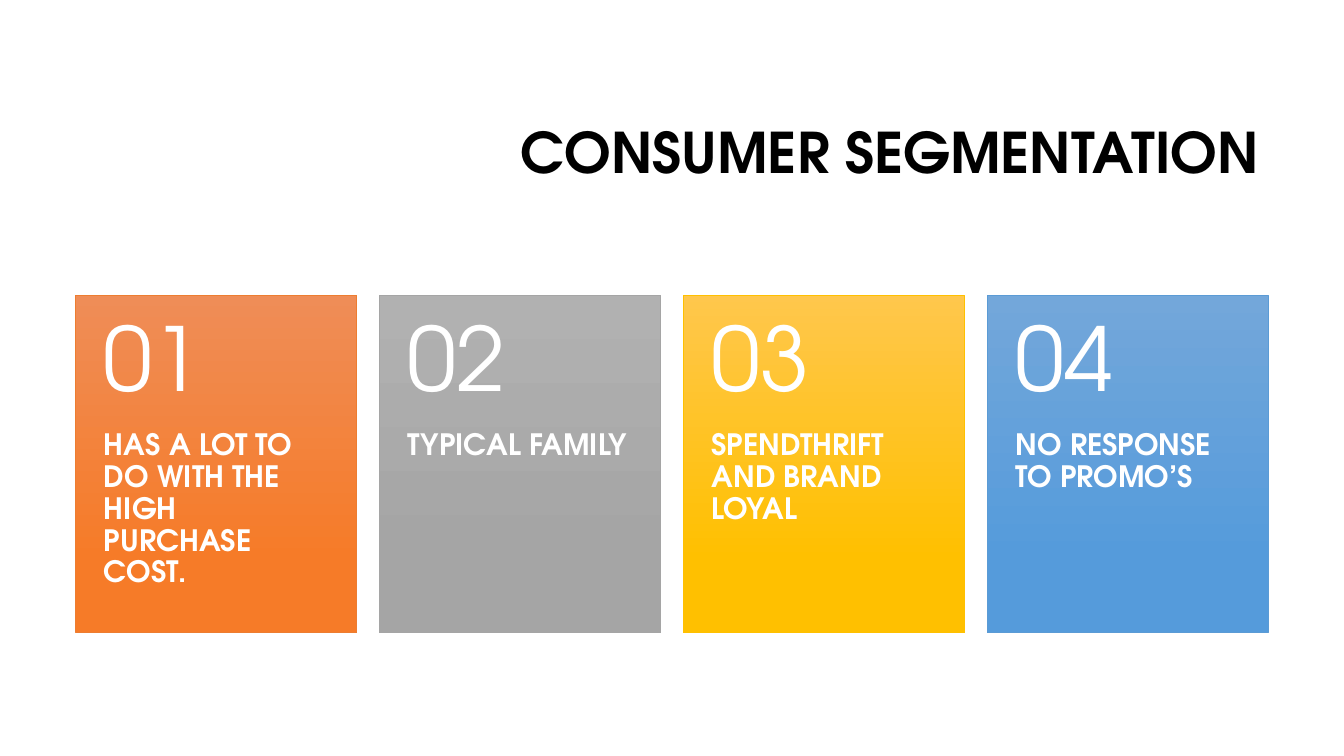
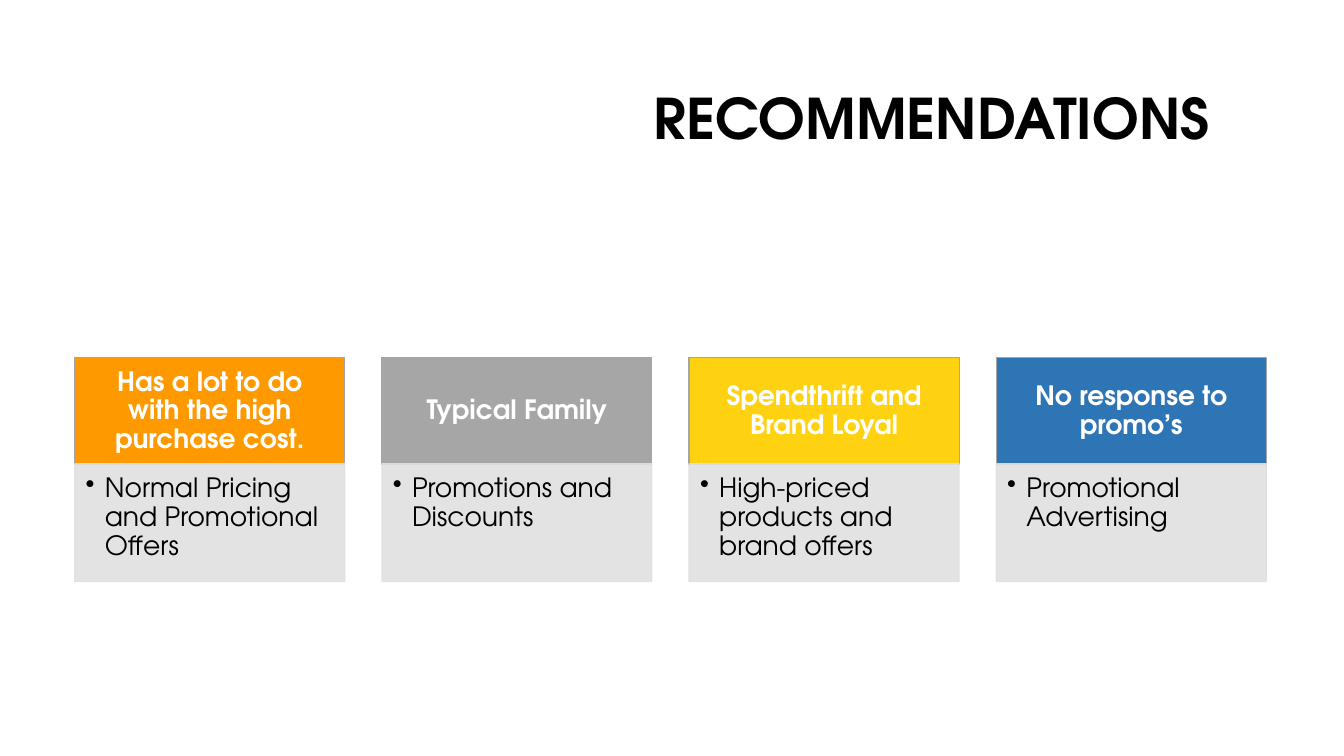
from lxml import etree
from pptx import Presentation
from pptx import util as u
from pptx.dml.color import RGBColor
from pptx.enum import shapes, text
from pptx.oxml import ns

FONT = "TeX Gyre Adventor"
BLACK = RGBColor(0x00, 0x00, 0x00)
WHITE = RGBColor(0xFF, 0xFF, 0xFF)
GRAY = RGBColor(0xA5, 0xA5, 0xA5)
PANEL = RGBColor(0xE1, 0xE1, 0xE1)
LEFT, CENTER, RIGHT = text.PP_ALIGN.LEFT, text.PP_ALIGN.CENTER, text.PP_ALIGN.RIGHT
TOP, MIDDLE = text.MSO_ANCHOR.TOP, text.MSO_ANCHOR.MIDDLE


def write(shape, words, size, color, bold=False, align=LEFT, anchor=TOP,
          insets=(0.1, 0.05, 0.1, 0.05)):
    """Set one styled paragraph in a shape and return the paragraph."""
    frame = shape.text_frame
    frame.word_wrap = True
    frame.auto_size = text.MSO_AUTO_SIZE.NONE
    frame.vertical_anchor = anchor
    (frame.margin_left, frame.margin_top,
     frame.margin_right, frame.margin_bottom) = [u.Inches(inset) for inset in insets]
    paragraph = frame.paragraphs[0]
    paragraph.alignment = align
    paragraph.line_spacing = 0.9
    run = paragraph.add_run()
    run.text = words
    run.font.name = FONT
    run.font.size = u.Pt(size)
    run.font.bold = bold
    run.font.color.rgb = color
    return paragraph


def add_box(slide, left, top, width, height, line_color):
    """Add a rectangle with a thin outline and no shadow."""
    box = slide.shapes.add_shape(
        shapes.MSO_SHAPE.RECTANGLE,
        u.Inches(left), u.Inches(top), u.Inches(width), u.Inches(height))
    box.shadow.inherit = False
    box.line.color.rgb = line_color
    box.line.width = u.Pt(0.75)
    return box


presentation = Presentation()
presentation.slide_width = u.Inches(13.33)
presentation.slide_height = u.Inches(7.5)

# Slides and their right-aligned titles
slides = []
for words, box in [
    ("CONSUMER SEGMENTATION", (3.17, 0.84, 9.42, 1.41)),
    ("RECOMMENDATIONS", (4.89, 0.46, 7.21, 1.49)),
]:
    slide = presentation.slides.add_slide(presentation.slide_layouts[5])
    title = slide.shapes.title
    title.left, title.top, title.width, title.height = [u.Inches(length) for length in box]
    write(title, words, 40, BLACK, True, RIGHT, MIDDLE)
    slides.append(slide)
segmentation, recommendations = slides

# Segmentation: numbered gradient cards (text, gradient start, gradient end, outline)
segments = [
    ("HAS A LOT TO DO WITH THE HIGH PURCHASE COST.", "EF8D57", "F67B28", "ED7D31"),
    ("TYPICAL FAMILY", "B1B1B1", "A5A5A5", "A5A5A5"),
    ("SPENDTHRIFT AND BRAND LOYAL", "FFC74C", "FFC000", "FFC000"),
    ("NO RESPONSE TO PROMO’S", "73A7DA", "559BDB", "5B9BD5"),
]
CARD_LEFT, CARD_TOP, CARD_WIDTH, CARD_HEIGHT = 0.75, 2.93, 2.79, 3.35
CARD_PITCH = (9.79 - CARD_LEFT) / 3
NUMBER_HEIGHT = 1.34

for index, (words, start, end, outline) in enumerate(segments):
    left = CARD_LEFT + index * CARD_PITCH
    card = add_box(segmentation, left, CARD_TOP, CARD_WIDTH, CARD_HEIGHT,
                   RGBColor.from_string(outline))
    card.fill.gradient()
    card.fill.gradient_angle = 270
    for stop, position, color in zip(card.fill.gradient_stops, (0, 0.78), (start, end)):
        stop.position = position
        stop.color.rgb = RGBColor.from_string(color)

    description = segmentation.shapes.add_textbox(
        u.Inches(left), u.Inches(CARD_TOP + NUMBER_HEIGHT),
        u.Inches(CARD_WIDTH), u.Inches(CARD_HEIGHT - NUMBER_HEIGHT))
    write(description, words, 21, WHITE, True, insets=(0.28, 0, 0.28, 0.36))

    number = segmentation.shapes.add_textbox(
        u.Inches(left), u.Inches(CARD_TOP), u.Inches(CARD_WIDTH), u.Inches(NUMBER_HEIGHT))
    write(number, f"{index + 1:02}", 63, WHITE, anchor=MIDDLE,
          insets=(0.28, 0.18, 0.28, 0.18))

# Recommendations: coloured header above a pale panel (header, advice, header colour)
columns = [
    ("Has a lot to do with the high purchase cost.",
     "Normal Pricing and Promotional Offers", "FF9900"),
    ("Typical Family", "Promotions and Discounts", "A6A6A6"),
    ("Spendthrift and Brand Loyal", "High-priced products and brand offers", "FFD211"),
    ("No response to promo’s", "Promotional Advertising", "2E75B6"),
]
COLUMN_LEFT, COLUMN_WIDTH = 0.74, 2.68
COLUMN_PITCH = (9.88 - COLUMN_LEFT) / 3

for index, (heading, advice, color) in enumerate(columns):
    left = COLUMN_LEFT + index * COLUMN_PITCH
    header = add_box(recommendations, left, 3.55, COLUMN_WIDTH, 1.06, GRAY)
    header.fill.solid()
    header.fill.fore_color.rgb = RGBColor.from_string(color)
    write(header, heading, 19, WHITE, True, CENTER, MIDDLE, (0.15, 0.08, 0.15, 0.08))

    panel = add_box(recommendations, left, 4.6, COLUMN_WIDTH, 1.17, PANEL)
    panel.fill.solid()
    panel.fill.fore_color.rgb = PANEL
    # Fill and outline are 90 % opaque
    for color_element in panel.element.spPr.iter(ns.qn("a:srgbClr")):
        etree.SubElement(color_element, ns.qn("a:alpha"), val="90000")
    paragraph = write(panel, advice, 19, BLACK, insets=(0.11, 0.11, 0.15, 0.17))
    # Hanging bullet
    properties = paragraph._p.get_or_add_pPr()
    properties.set("marL", str(u.Inches(0.19)))
    properties.set("indent", str(-u.Inches(0.19)))
    etree.SubElement(properties, ns.qn("a:buChar"), char="•")

presentation.save("out.pptx")
